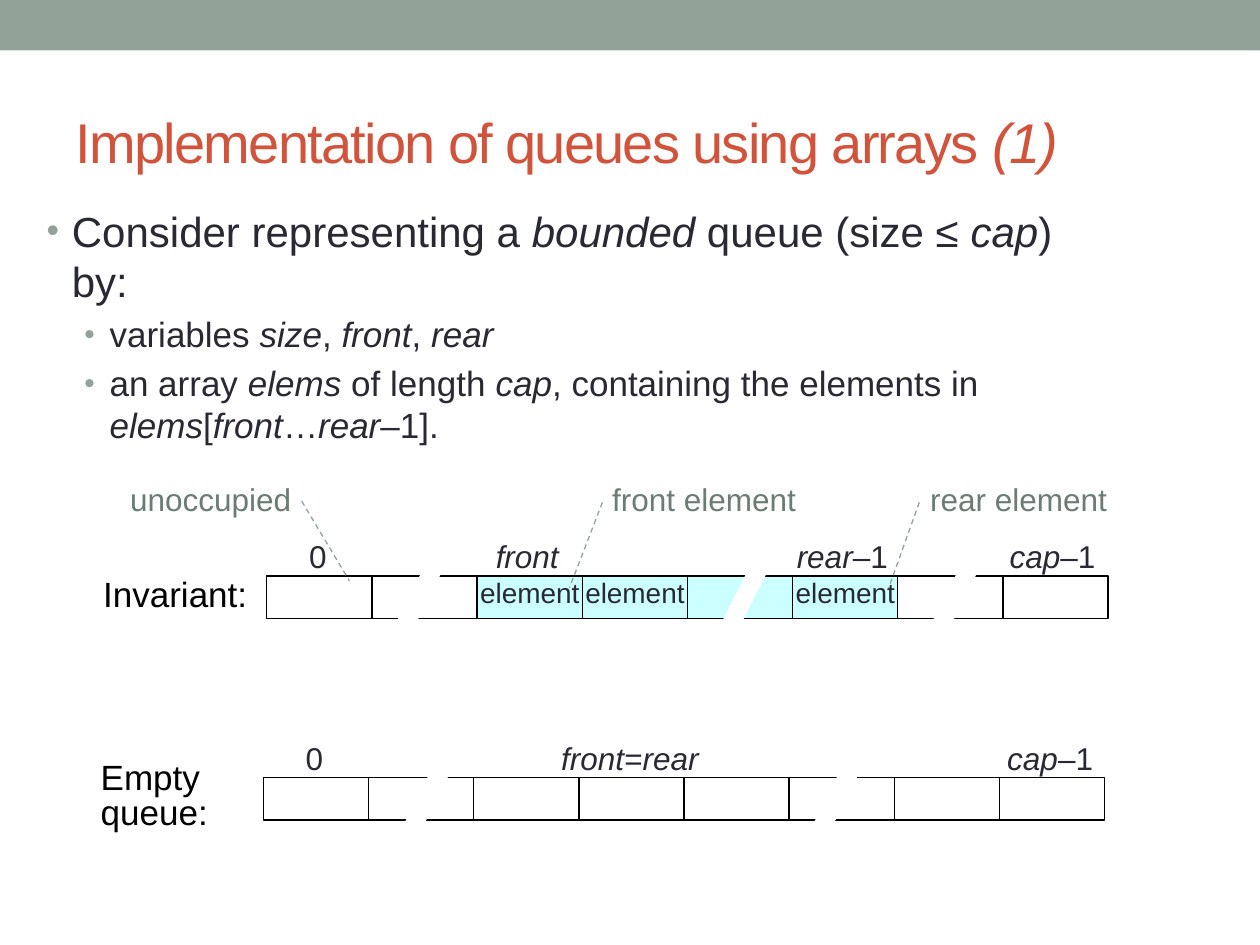
from dataclasses import dataclass

import lxml.etree
import pptx
import pptx.dml.color
import pptx.enum.shapes
import pptx.enum.dml
import pptx.enum.text
import pptx.oxml.ns
import pptx.util
from pptx.util import Cm, Pt

COLORS = {
    "sage": "93A299", "title": "D2533C", "text": "292934", "note": "6B7D72",
    "black": "000000", "white": "FFFFFF", "filled": "CCFFFF",
}
SHAPES = pptx.enum.shapes.MSO_SHAPE
ALIGN = pptx.enum.text.PP_ALIGN
CELL_W, CELL_H, CELLS = 2.12, 0.86, 8
GAP_W, GAP_H, GAP_SKEW, GAP_RISE = 0.41, 1.27, 0.64, 0.2
LABEL_W, LABEL_H, LABEL_RISE = 2.06, 0.56, 0.65


@dataclass
class Label:
    text: str
    left: float
    width: float = LABEL_W


@dataclass
class ArrayRow:
    caption: Label
    caption_top: float
    left: float
    top: float
    filled: range
    elements: tuple[int, ...]
    gaps: tuple[float, ...]
    labels: tuple[Label, ...]


@dataclass
class Callout:
    text: str
    left: float
    width: float
    align: pptx.enum.text.PP_ALIGN
    adjustments: tuple[float, ...]


def rgb(name: str) -> pptx.dml.color.RGBColor:
    return pptx.dml.color.RGBColor.from_string(COLORS[name])


def write(p, text: str, size: float, color: str, align=ALIGN.LEFT, spacing=None) -> None:
    """Fill a paragraph; stretches between asterisks are italic."""
    p.alignment = align
    p.font.name, p.font.size = "Arial", Pt(size)
    p.font.color.rgb = rgb(color)
    if spacing:
        p.line_spacing = Pt(spacing)
    for i, part in enumerate(text.split("*")):
        if part:
            r = p.add_run()
            r.text = part
            if i % 2:
                r.font.italic = True


def set_frame(tf, inset: float = 0):
    tf.word_wrap = True
    tf.margin_left = tf.margin_right = Cm(inset)
    tf.margin_top = tf.margin_bottom = Cm(inset / 2)
    tf.vertical_anchor = pptx.enum.text.MSO_ANCHOR.TOP
    return tf


def add_text(s, left: float, top: float, width: float, height: float, inset: float = 0):
    sp = s.shapes.add_textbox(Cm(left), Cm(top), Cm(width), Cm(height))
    return set_frame(sp.text_frame, inset)


def add_bullet(p, level: int) -> None:
    p.level = level
    p.space_before = Pt(4 if level else 4.8)
    pPr = p._p.get_or_add_pPr()
    pPr.set("marL", str(Cm(1.27 if level else 0.51)))
    pPr.set("indent", str(Cm(-0.51)))
    qn = pptx.oxml.ns.qn
    bullet_color = lxml.etree.Element(qn("a:buClr"))
    lxml.etree.SubElement(bullet_color, qn("a:srgbClr"), val=COLORS["sage"])
    parts = (
        bullet_color,
        lxml.etree.Element(qn("a:buSzPct"), val="85000"),
        lxml.etree.Element(qn("a:buFont"), typeface="Arial"),
        lxml.etree.Element(qn("a:buChar"), char="•"),
    )
    for part in parts:
        pPr.insert_element_before(part, "a:tabLst", "a:defRPr", "a:extLst")


def paint(sp, fill: str) -> None:
    sp.shadow.inherit = False
    sp.fill.solid()
    sp.fill.fore_color.rgb = rgb(fill)
    sp.line.fill.background()


def add_gap(s, left: float, top: float) -> None:
    """Cover a slanted strip of the row to show omitted cells."""
    bottom = top + GAP_H
    fb = s.shapes.build_freeform(Cm(left), Cm(bottom))
    corners = [(left + GAP_SKEW, top), (left + GAP_SKEW + GAP_W, top), (left + GAP_W, bottom)]
    fb.add_line_segments([(Cm(x), Cm(y)) for x, y in corners], close=True)
    paint(fb.convert_to_shape(), "white")


def add_row(s, row: ArrayRow) -> None:
    tf = add_text(s, row.caption.left, row.caption_top, row.caption.width, 0.71)
    write(tf.paragraphs[0], row.caption.text, 20, "black", spacing=20)
    for i in range(CELLS):
        sp = s.shapes.add_shape(SHAPES.RECTANGLE, Cm(row.left + i * CELL_W), Cm(row.top),
                                Cm(CELL_W), Cm(CELL_H))
        paint(sp, "filled" if i in row.filled else "white")
        sp.line.color.rgb = rgb("black")
        sp.line.width = Pt(0.75)
        if i in row.elements:
            tf = set_frame(sp.text_frame)
            write(tf.paragraphs[0], "element", 16, "text", ALIGN.CENTER)
    for left in row.gaps:
        add_gap(s, left, row.top - GAP_RISE)
    for label in row.labels:
        tf = add_text(s, label.left, row.top - LABEL_RISE, label.width, LABEL_H)
        write(tf.paragraphs[0], label.text, 18, "text", ALIGN.CENTER, 18)


def add_callout(s, callout: Callout) -> None:
    sp = s.shapes.add_shape(SHAPES.LINE_CALLOUT_1_NO_BORDER, Cm(callout.left), Cm(9.8),
                            Cm(callout.width), Cm(0.62))
    for i, value in enumerate(callout.adjustments):
        sp.adjustments[i] = value
    sp.shadow.inherit = False
    sp.fill.background()
    sp.line.color.rgb = rgb("sage")
    sp.line.width = Pt(0.75)
    sp.line.dash_style = pptx.enum.dml.MSO_LINE.DASH
    tf = set_frame(sp.text_frame)
    write(tf.paragraphs[0], callout.text, 18, "note", callout.align, 18)


BODY = [
    (0, "Consider representing a *bounded* queue (size ≤ *cap*) by:"),
    (1, "variables *size*, *front*, *rear*"),
    (1, "an array *elems* of length *cap*, containing the elements in "
        "*elems*[*front*…*rear*–1]."),
]
ROWS = [
    ArrayRow(Label("Empty queue:", 2.03, 2.97), 15.37, 5.31, 15.67, range(0), (),
             (8.08, 16.33),
             (Label("0", 5.31), Label("*front*=*rear*", 11.25, 2.9), Label("*cap*–1", 20.14))),
    ArrayRow(Label("Invariant:", 2.08, 2.97), 11.68, 5.38, 11.61, range(2, 6), (2, 3, 5),
             (7.92, 14.48, 18.72),
             (Label("0", 5.38), Label("*front*", 9.6), Label("*rear*–1", 15.95),
              Label("*cap*–1", 20.19))),
]
CALLOUTS = [
    Callout("unoccupied", 2.31, 3.56, ALIGN.RIGHT, (0.49, 1.06, 3.08, 1.33)),
    Callout("front element", 12.34, 3.91, ALIGN.LEFT, (0.53, -0.05, 3.31, -0.22)),
    Callout("rear element", 18.75, 3.63, ALIGN.LEFT, (0.53, -0.06, 3.31, -0.23)),
]


def main() -> None:
    prs = pptx.Presentation()
    prs.slide_width, prs.slide_height = Cm(25.4), Cm(19.05)
    s = prs.slides.add_slide(prs.slide_layouts[6])

    # Top band
    paint(s.shapes.add_shape(SHAPES.RECTANGLE, 0, 0, prs.slide_width, Cm(1.02)), "sage")

    # Title
    tf = add_text(s, 1.27, 1.47, 22.86, 2.74, inset=0.25)
    tf.vertical_anchor = pptx.enum.text.MSO_ANCHOR.MIDDLE
    write(tf.paragraphs[0], "Implementation of queues using arrays *(1)*", 32, "title")
    for r in tf.paragraphs[0].runs:
        r._r.get_or_add_rPr().set("spc", "-100")

    # Bulleted body
    tf = add_text(s, 0.69, 4.01, 21.16, 13.34, inset=0.25)
    for i, (level, text) in enumerate(BODY):
        p = tf.add_paragraph() if i else tf.paragraphs[0]
        write(p, text, 24 - 4 * level, "text")
        add_bullet(p, level)

    # Array diagrams and their callouts
    for row in ROWS:
        add_row(s, row)
    for callout in CALLOUTS:
        add_callout(s, callout)

    prs.save("out.pptx")


if __name__ == "__main__":
    main()
